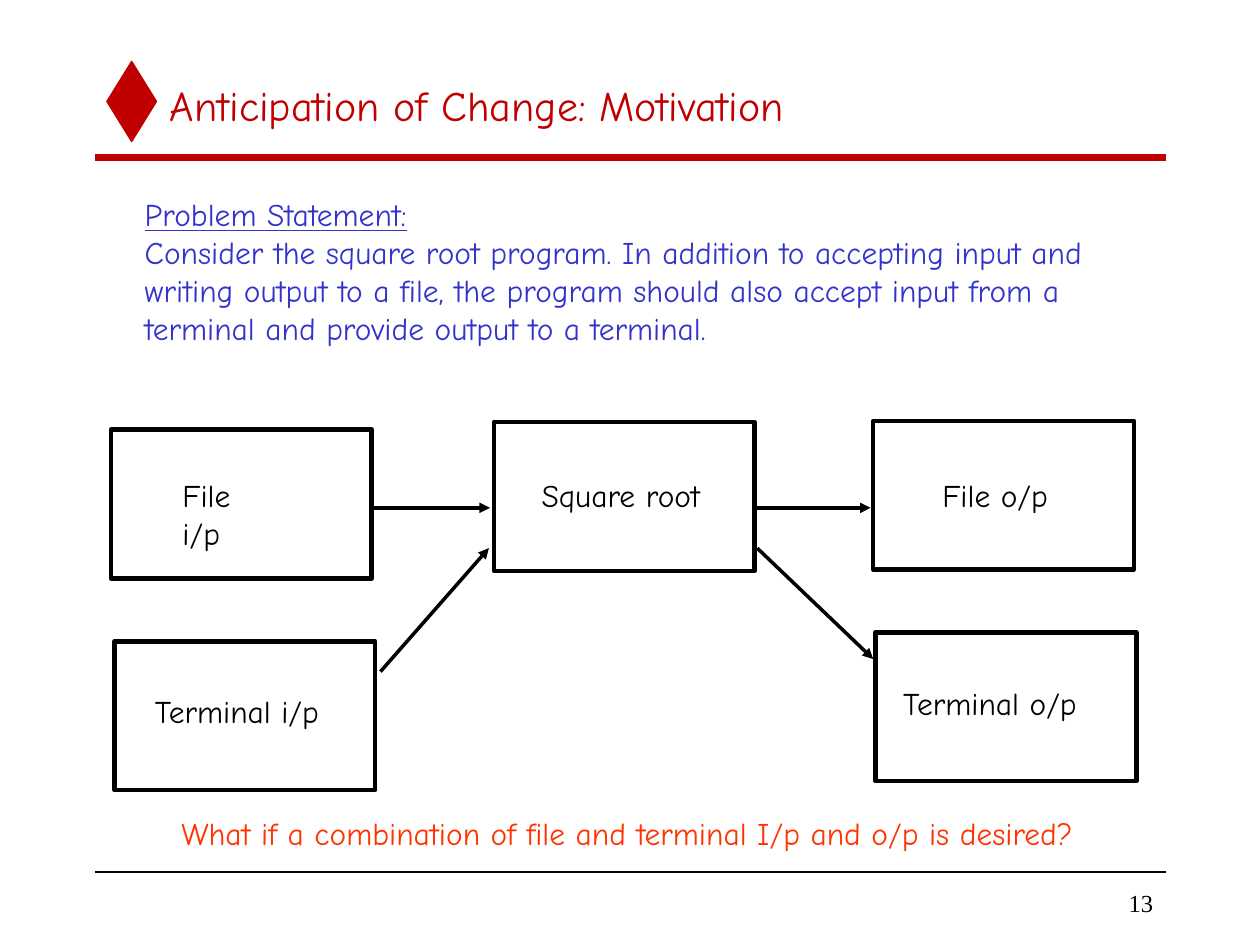
from lxml import etree
from pptx import Presentation
from pptx.dml.color import RGBColor
from pptx.enum import shapes, text
from pptx.oxml import ns
from pptx.util import Pt

RED, BLUE, ORANGE, BLACK = "C00000", "3333CC", "FF3300", "000000"
BODY_FONT, NUMBER_FONT = "Comic Neue", "Times New Roman"
BOX_W, BOX_H, LABEL_H = 149, 85, 28.8

TITLE = "Anticipation of Change: Motivation"
STATEMENT = [
    "Problem Statement:",
    "Consider the square root program. In addition to accepting input and",
    "writing output to a file, the program should also accept input from a",
    "terminal and provide output to a terminal.",
]
QUESTION = "What if a combination of file and terminal I/p and o/p is desired?"
PAGE = "13"

# label, box left, box top, label left, label top, label width
BOXES = [
    ("Square root", 282.2, 241.2, 302.4, 268.6, 106),
    ("File o/p", 499, 240.5, 531.4, 268.6, 75),
    ("File i/p", 63.4, 245.5, 97.2, 268.6, 69),
    ("Terminal i/p", 65.5, 366.5, 81.4, 391.7, 109.5),
    ("Terminal o/p", 500.4, 361.4, 509, 387.4, 115),
]
ARROWS = [
    (213.8, 290.2, 280, 290.2),
    (431.3, 290.2, 497.5, 290.2),
    (217.4, 383.8, 279.4, 313.2),
    (432.7, 313.2, 499, 376.6),
]
RULES = [(90, RED, 4), (498.2, BLACK, 1)]


def rgb(color):
    return RGBColor.from_string(color)


def add_shape(s, kind, x, y, w, h, line_width, line_color, fill=None):
    sp = s.shapes.add_shape(kind, Pt(x), Pt(y), Pt(w), Pt(h))
    sp.shadow.inherit = False
    if fill:
        sp.fill.solid()
        sp.fill.fore_color.rgb = rgb(fill)
    else:
        sp.fill.background()
    sp.line.color.rgb = rgb(line_color)
    sp.line.width = Pt(line_width)


def add_line(s, x1, y1, x2, y2, color, width, arrow=False):
    sp = s.shapes.add_connector(
        shapes.MSO_CONNECTOR.STRAIGHT, Pt(x1), Pt(y1), Pt(x2), Pt(y2))
    sp.line.color.rgb = rgb(color)
    sp.line.width = Pt(width)
    if arrow:
        etree.SubElement(sp.line._get_or_add_ln(), ns.qn("a:tailEnd"), type="triangle")
    etree.SubElement(sp._element.spPr, ns.qn("a:effectLst"))


def add_text(s, lines, x, y, w, h, color, size=18, font=BODY_FONT,
             anchor=text.MSO_ANCHOR.TOP, align=text.PP_ALIGN.LEFT, wrap=False):
    tf = s.shapes.add_textbox(Pt(x), Pt(y), Pt(w), Pt(h)).text_frame
    tf.word_wrap = wrap
    tf.vertical_anchor = anchor
    tf.text = "\n".join(lines)
    for p in tf.paragraphs:
        p.alignment = align
        p.font.name = font
        p.font.size = Pt(size)
        p.font.color.rgb = rgb(color)
    return tf


def main():
    prs = Presentation()
    prs.slide_width, prs.slide_height = Pt(720), Pt(540)
    s = prs.slides.add_slide(prs.slide_layouts[6])
    middle = text.MSO_ANCHOR.MIDDLE

    add_shape(s, shapes.MSO_SHAPE.DIAMOND, 61.2, 35.3, 28.1, 45.4, 1, RED, RED)
    for y, color, width in RULES:
        add_line(s, 54, y, 666, y, color, width)
    add_text(s, [PAGE], 563.8, 504, 102.2, 23.8, BLACK, 14, NUMBER_FONT,
             middle, text.PP_ALIGN.RIGHT)
    add_text(s, [TITLE], 90, 36, 576, 48, RED, 24, anchor=middle, wrap=True)

    tf = add_text(s, STATEMENT, 75.6, 108, 558, 93.6, BLUE)
    tf.paragraphs[0].font.underline = True

    for label, x, y, label_x, label_y, label_w in BOXES:
        add_shape(s, shapes.MSO_SHAPE.RECTANGLE, x, y, BOX_W, BOX_H, 2.5, BLACK)
        add_text(s, [label], label_x, label_y, label_w, LABEL_H, BLACK)
    for ends in ARROWS:
        add_line(s, *ends, BLACK, 2, arrow=True)
    add_text(s, [QUESTION], 96.5, 461.5, 525, LABEL_H, ORANGE)

    prs.save("out.pptx")


if __name__ == "__main__":
    main()
